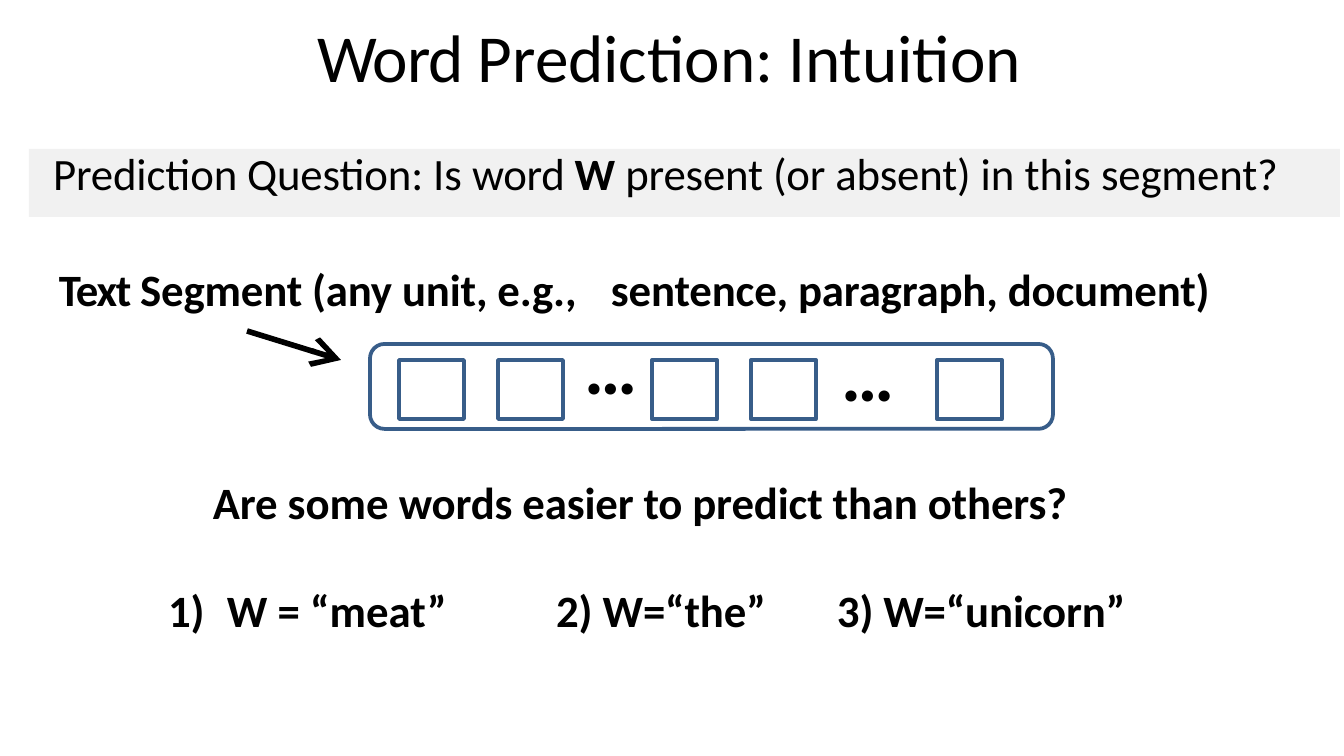
from lxml.etree import SubElement
from pptx import Presentation
from pptx.dml.color import RGBColor
from pptx.enum.shapes import MSO_CONNECTOR, MSO_SHAPE
from pptx.enum.text import MSO_ANCHOR, MSO_AUTO_SIZE, PP_ALIGN
from pptx.oxml.ns import qn
from pptx.util import Pt

SCALE = 914400 / 134.4
BLACK, BLUE, GREY = "000000", "385D89", "F1F1F1"

# Paragraph: runs (text, bold, letter spacing in 1/100 pt), space before in pt,
# left margin in px, tab stops in px
TITLE = [([("Word ", False, -60), ("Prediction: Intuition", False, -5)], 1, 1, [])]
QUESTION = [
    ([("Prediction Question: ", False, -8), ("Is ", False, 0), ("word ", False, -20),
      ("W ", True, 0), ("present (or absent) ", False, -8), ("in this ", False, 0),
      ("segment?", False, -8)], 1, 1, []),
    ([("Text ", True, -70),
      ("Segment (any unit, e.g.,\tsentence, paragraph, document)", True, -8)],
     33, 7, [552]),
]
EXAMPLES = [
    ([("Are ", True, -8), ("some ", True, 0),
      ("words easier to predict than others?", True, -8)], 1, 46, []),
    ([("1)\tW = “meat”\t2)", True, 0), (" W=“the”\t3) W=“unicorn”", True, -8)],
     29, 1, [59, 388, 669]),
]
DOTS = [([("…", True, -10)], 1, 1, [])]

BAND = (29, 149, 1311, 68)
SEGMENT = (370, 344, 683, 85)
WORD_W, WORD_H, WORD_TOP, WORD_PITCH = 65, 59, 360, 99
WORD_GROUPS = [(399, 2), (652, 2), (937, 1)]  # left of the first box, count
DOTS_AT = [(584, 319), (841, 326)]
ARROW = (247, 331, 341, 360)


def px(n):
    return round(n * SCALE)


def color(value):
    return RGBColor.from_string(value)


def write(sp, box, paragraphs, size):
    sp.left, sp.top, sp.width, sp.height = map(px, box)
    tf = sp.text_frame
    tf.word_wrap = True
    tf.auto_size = MSO_AUTO_SIZE.NONE
    tf.vertical_anchor = MSO_ANCHOR.TOP
    tf.margin_left = tf.margin_right = tf.margin_bottom = 0
    tf.margin_top = px(1)
    for i, (runs, before, margin, tabs) in enumerate(paragraphs):
        p = tf.add_paragraph() if i else tf.paragraphs[0]
        p.alignment = PP_ALIGN.LEFT
        p.space_before = Pt(before)
        pPr = p._p.get_or_add_pPr()
        pPr.set("marL", str(px(margin)))
        if sp.is_placeholder:
            SubElement(pPr, qn("a:buNone"))
        if tabs:
            tab_list = SubElement(pPr, qn("a:tabLst"))
            for tab in tabs:
                SubElement(tab_list, qn("a:tab"), pos=str(px(tab)), algn="l")
        for text, bold, spacing in runs:
            r = p.add_run()
            r.text = text
            r.font.bold = bold
            r.font.size = Pt(size)
            r.font.name = "Calibri"
            r.font.color.rgb = color(BLACK)
            r._r.get_or_add_rPr().set("spc", str(spacing))


def add_box(s, box, fill=None, line=None, kind=MSO_SHAPE.RECTANGLE):
    sp = s.shapes.add_shape(kind, *map(px, box))
    sp.shadow.inherit = False
    if fill:
        sp.fill.solid()
        sp.fill.fore_color.rgb = color(fill)
    else:
        sp.fill.background()
    if line:
        sp.line.color.rgb = color(line)
        sp.line.width = Pt(2)
    else:
        sp.line.fill.background()
    return sp


def add_arrow(s, ends):
    c = s.shapes.add_connector(MSO_CONNECTOR.STRAIGHT, *map(px, ends))
    c.line.color.rgb = color(BLACK)
    c.line.width = Pt(3)
    SubElement(c.line._get_or_add_ln(), qn("a:tailEnd"),
               type="arrow", w="lg", len="lg")
    SubElement(c._element.spPr, qn("a:effectLst"))


def main():
    prs = Presentation()
    prs.slide_width, prs.slide_height = px(1344), px(756)
    # A hanging indent in the master would override the tab stops
    body_style = prs.slide_master.element.find(".//" + qn("p:bodyStyle"))
    body_style.find(qn("a:lvl1pPr")).attrib.pop("indent", None)
    s = prs.slides.add_slide(prs.slide_layouts[1])
    title, body = s.placeholders

    band = add_box(s, BAND, fill=GREY)
    s.shapes._spTree.insert(2, band._element)  # behind the text
    write(title, (316, 14, 715, 85), TITLE, 36)
    write(body, (52, 145, 1260, 190), QUESTION, 24)

    segment = add_box(s, SEGMENT, line=BLUE, kind=MSO_SHAPE.ROUNDED_RECTANGLE)
    segment.adjustments[0] = 0.17
    for left, count in WORD_GROUPS:
        for i in range(count):
            add_box(s, (left + i * WORD_PITCH, WORD_TOP, WORD_W, WORD_H), line=BLUE)
    for left, top in DOTS_AT:
        write(s.shapes.add_textbox(0, 0, 0, 0), (left, top, 60, 93), DOTS, 40)
    add_arrow(s, ARROW)
    write(s.shapes.add_textbox(0, 0, 0, 0), (167, 474, 980, 165), EXAMPLES, 24)
    prs.save("out.pptx")


if __name__ == "__main__":
    main()
